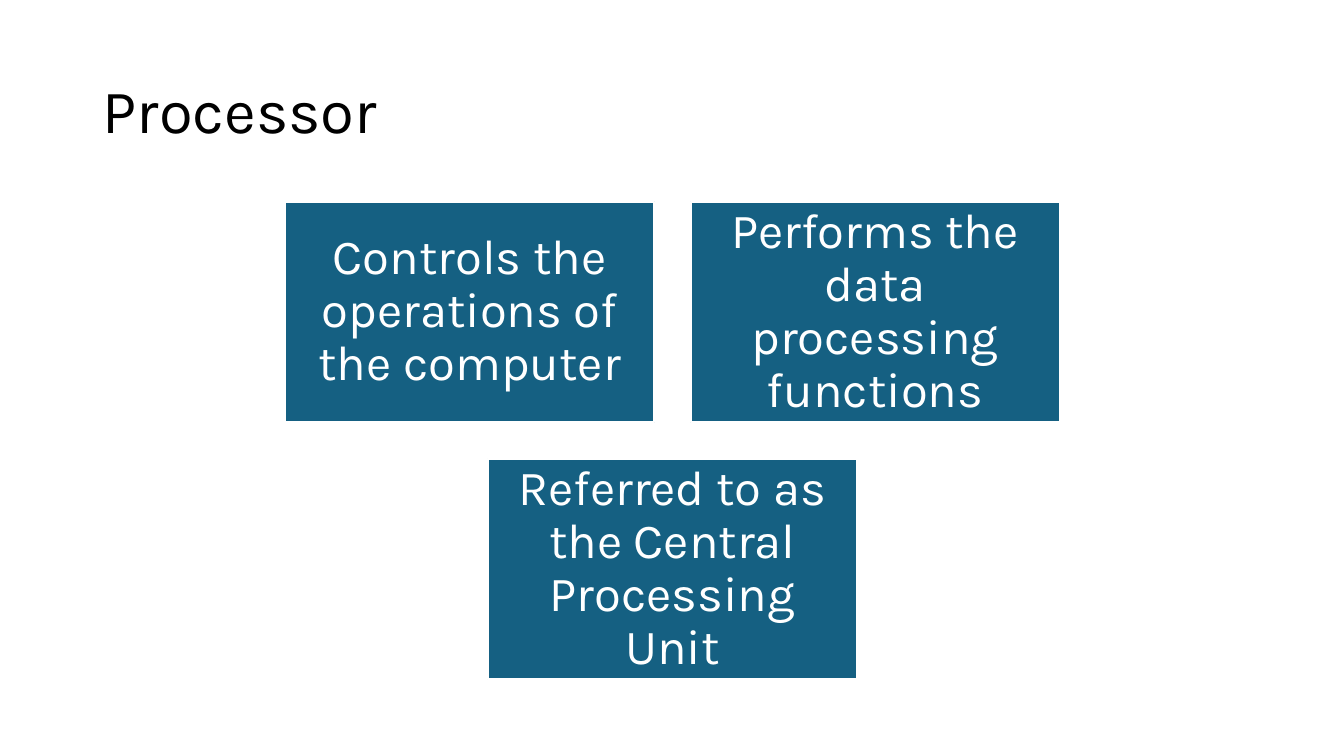
from pptx import Presentation
from pptx import util as u
from pptx.dml.color import RGBColor
from pptx.enum import shapes, text

HUES = {"ink": "000000", "paper": "FFFFFF", "box": "156082"}
PX = 9144
WIDE, HIGH = 1333, 750
BOX_W, BOX_H, GAP, TOP = 366, 219, 36, 200
ROWS = [
    ["Controls the operations of the computer",
     "Performs the data processing functions"],
    ["Referred to as the Central Processing Unit"],
]


class Deck:
    """Hold the style and the current slide, and add elements to it."""

    def __init__(self):
        self.show = Presentation()
        self.show.slide_width = WIDE * PX
        self.show.slide_height = HIGH * PX
        self.slide = self.show.slides.add_slide(self.show.slide_layouts[5])
        self.font = "Karla"

    def hue(self, name):
        return RGBColor.from_string(HUES[name])

    def place(self, item, left, top, wide, high):
        item.left, item.top = left * PX, top * PX
        item.width, item.height = wide * PX, high * PX

    def label(self, item, words, size, hue, align):
        frame = item.text_frame
        frame.text = words
        frame.word_wrap = True
        frame.auto_size = text.MSO_AUTO_SIZE.NONE
        frame.vertical_anchor = text.MSO_ANCHOR.MIDDLE
        for para in frame.paragraphs:
            para.alignment = align
            para.line_spacing = 0.9
            for run in para.runs:
                run.font.name = self.font
                run.font.size = u.Pt(size)
                run.font.color.rgb = self.hue(hue)
        return frame

    def title(self, words, *area):
        item = self.slide.shapes.title
        self.place(item, *area)
        self.label(item, words, 44, "ink", text.PP_ALIGN.LEFT)

    def box(self, words, *area):
        item = self.slide.shapes.add_shape(
            shapes.MSO_SHAPE.RECTANGLE, *(n * PX for n in area))
        item.shadow.inherit = False
        item.fill.solid()
        item.fill.fore_color.rgb = self.hue("box")
        item.line.color.rgb = self.hue("paper")
        item.line.width = u.Pt(1.5)
        frame = self.label(item, words, 35, "paper", text.PP_ALIGN.CENTER)
        frame.margin_left = frame.margin_right = 15 * PX
        frame.margin_top = frame.margin_bottom = 15 * PX


def main():
    deck = Deck()
    deck.title("Processor", 92, 40, 1150, 145)
    for row, facts in enumerate(ROWS):
        span = len(facts) * (BOX_W + GAP) - GAP
        left = (WIDE - span + 1) // 2
        for col, fact in enumerate(facts):
            deck.box(fact, left + col * (BOX_W + GAP),
                     TOP + row * (BOX_H + GAP), BOX_W, BOX_H)
    deck.show.save("out.pptx")


if __name__ == "__main__":
    main()
